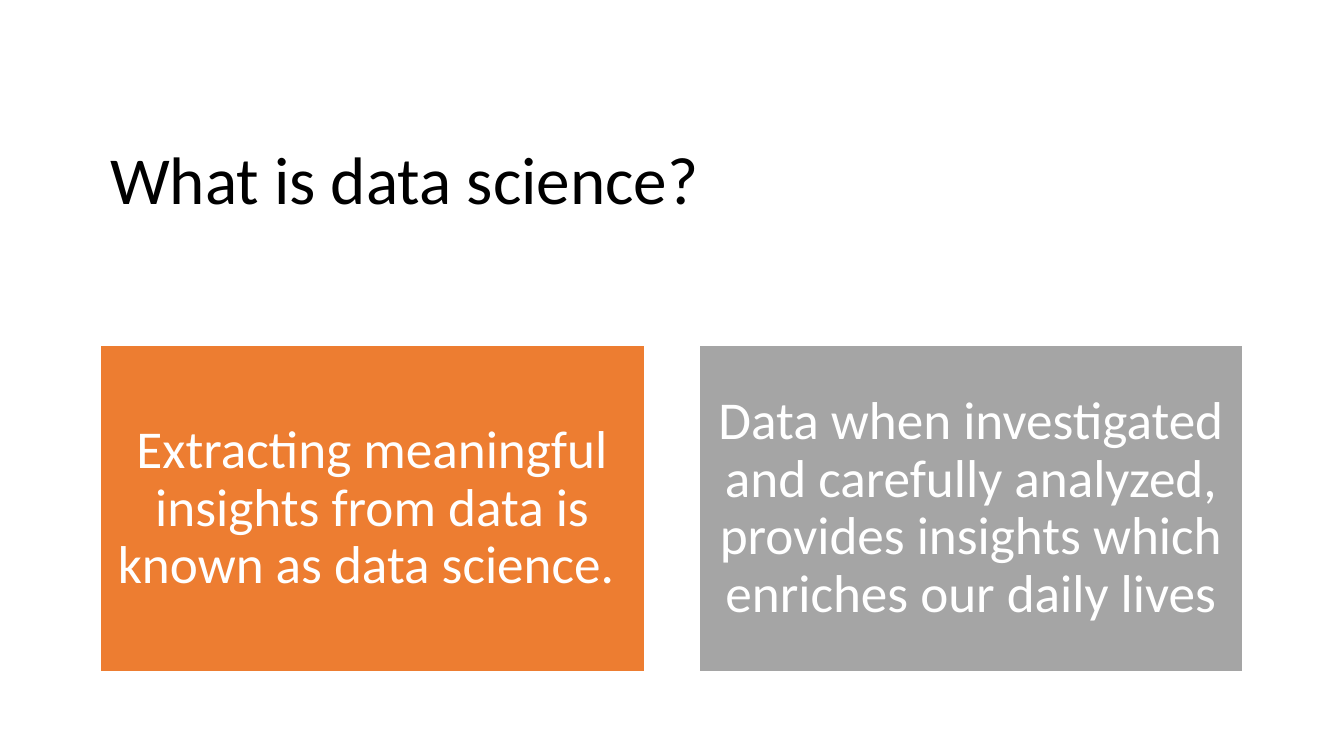
from pptx import Presentation
from pptx.dml.color import RGBColor
from pptx.enum.shapes import MSO_SHAPE as Shape
from pptx.enum.text import MSO_ANCHOR as Anchor, PP_ALIGN as Align
from pptx.util import Pt

BLACK = RGBColor(0x00, 0x00, 0x00)
WHITE = RGBColor(0xFF, 0xFF, 0xFF)
ORANGE = RGBColor(0xED, 0x7D, 0x31)
GRAY = RGBColor(0xA5, 0xA5, 0xA5)

STATEMENTS = [
    ("Extracting meaningful insights from data is known as data science. ", ORANGE),
    ("Data when investigated and carefully analyzed, provides insights which "
     "enriches our daily lives", GRAY),
]


def write(frame, words, size, color, align):
    frame.word_wrap = True
    frame.vertical_anchor = Anchor.MIDDLE
    frame.text = words
    paragraph = frame.paragraphs[0]
    paragraph.alignment = align
    paragraph.line_spacing = 0.9
    font = paragraph.runs[0].font
    font.name = "Calibri"
    font.size = Pt(size)
    font.color.rgb = color


def add_title(slide, left, top, width, height):
    title = slide.shapes.add_textbox(Pt(left), Pt(top), Pt(width), Pt(height))
    write(title.text_frame, "What is data science?", 48, BLACK, Align.LEFT)


def add_statements(slide, left, top, width, height, gap=39):
    card_width = (width - gap * (len(STATEMENTS) - 1)) / len(STATEMENTS)
    for index, (words, fill) in enumerate(STATEMENTS):
        card_left = left + index * (card_width + gap)
        card = slide.shapes.add_shape(
            Shape.RECTANGLE, Pt(card_left), Pt(top), Pt(card_width), Pt(height))
        card.shadow.inherit = False
        card.fill.solid()
        card.fill.fore_color.rgb = fill
        card.line.color.rgb = WHITE
        card.line.width = Pt(1)
        frame = card.text_frame
        frame.margin_left = frame.margin_right = Pt(11.4)
        frame.margin_top = frame.margin_bottom = Pt(11.4)
        write(frame, words, 38, WHITE, Align.CENTER)


def main():
    deck = Presentation()
    deck.slide_width, deck.slide_height = Pt(960), Pt(540)
    slide = deck.slides.add_slide(deck.slide_layouts[6])
    add_title(slide, 71.5, 69, 801.5, 122.5)
    add_statements(slide, 71.5, 247, 816.5, 233)
    deck.save("out.pptx")


if __name__ == "__main__":
    main()
